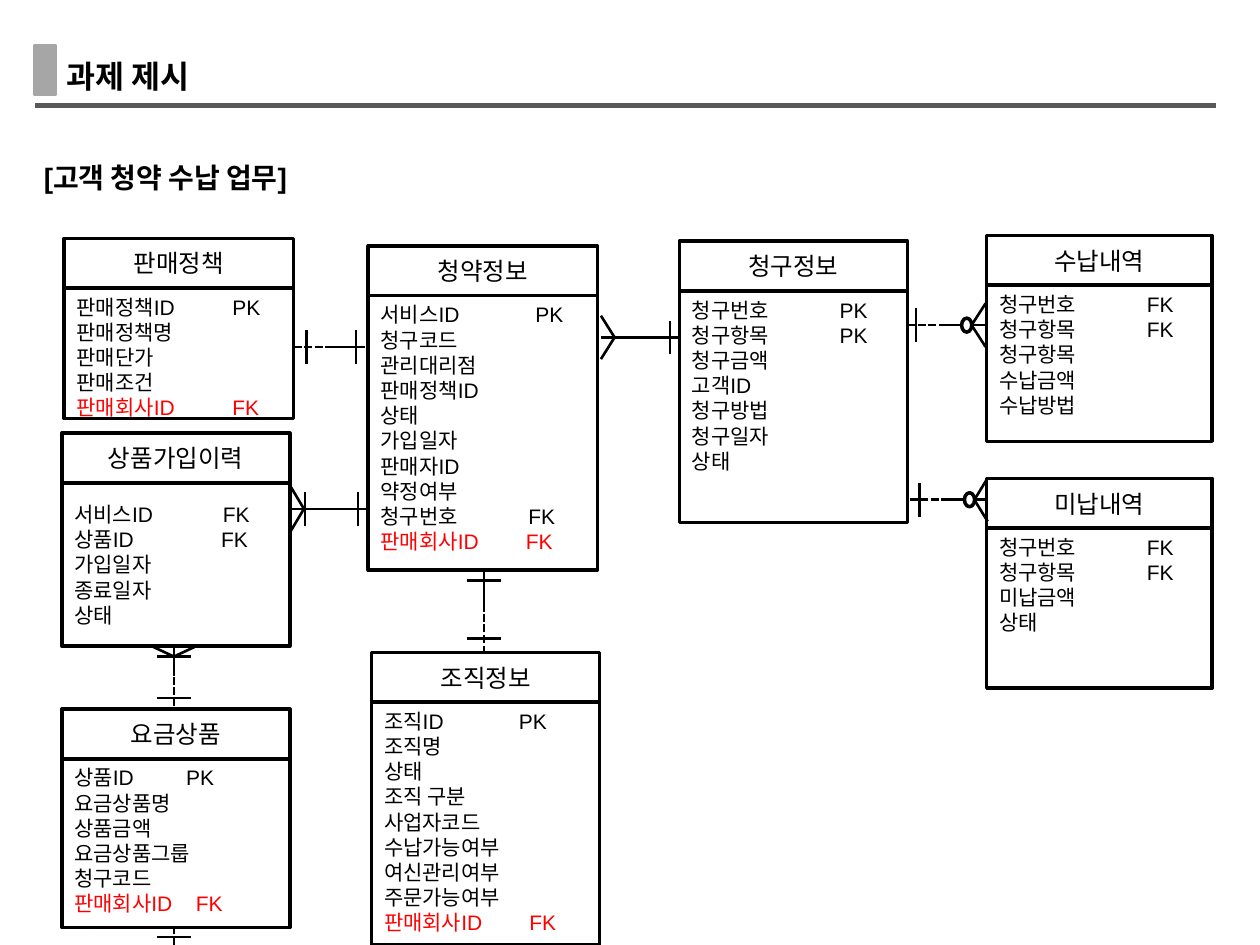
"""Build an entity-relationship slide for customer subscription and payment."""
from lxml.etree import SubElement
from pptx import Presentation
from pptx.dml.color import RGBColor
from pptx.enum.dml import MSO_LINE_DASH_STYLE as Dash
from pptx.enum.shapes import MSO_CONNECTOR as Connector, MSO_SHAPE as Shape
from pptx.enum.text import MSO_ANCHOR as Anchor, PP_ALIGN as Align
from pptx.oxml.ns import qn
from pptx.util import Pt

LATIN, KOREAN = "Arial", "Noto Sans CJK KR"
BLACK, RED, WHITE = "000000", "FF0000", "FFFFFF"
HEADER = 28.4
SELLER = "판매회사ID"

# name, left, top, width, body height, anchor, rows of (field, key, key offset)
ENTITIES = [
    ("조직정보", 212.4, 372.8, 130.3, 139, Anchor.TOP,
     [("조직ID", "PK", 77), "조직명", "상태", "조직 구분", "사업자코드",
      "수납가능여부", "여신관리여부", "주문가능여부", (SELLER, "FK", 83)]),
    ("청약정보", 210.4, 140.6, 131, 156.8, Anchor.TOP,
     [("서비스ID", "PK", 88.5), "청구코드", "관리대리점", "판매정책ID", "상태",
      "가입일자", "판매자ID", "약정여부", ("청구번호", "FK", 84.5), (SELLER, "FK", 83)]),
    ("청구정보", 388.2, 137.8, 130.3, 132.4, Anchor.TOP,
     [("청구번호", "PK", 84.5), ("청구항목", "PK", 84.5), "청구금액", "고객ID",
      "청구방법", "청구일자", "상태"]),
    ("요금상품", 35.3, 405.2, 130.3, 96.4, Anchor.TOP,
     [("상품ID", "PK", 64), "요금상품명", "상품금액", "요금상품그룹", "청구코드",
      (SELLER, "FK", 69.5)]),
    ("수납내역", 563.8, 134.6, 128.9, 89.2, Anchor.TOP,
     [("청구번호", "FK", 84.5), ("청구항목", "FK", 84.5), "청구항목", "수납금액",
      "수납방법"]),
    ("상품가입이력", 35.3, 247.5, 130.3, 93.4, Anchor.MIDDLE,
     [("서비스ID", "FK", 85), ("상품ID", "FK", 84), "가입일자", "종료일자", "상태"]),
    ("판매정책", 36.7, 136.2, 131, 74.6, Anchor.TOP,
     [("판매정책ID", "PK", 89), "판매정책명", "판매단가", "판매조건", (SELLER, "FK", 89)]),
    ("미납내역", 563.8, 273.4, 128.9, 91.4, Anchor.TOP,
     [("청구번호", "FK", 84.5), ("청구항목", "FK", 84.5), "미납금액", "상태"]),
]

# start, end, dashed share, bar distances from start, crow's foot length, circle
RELATIONS = [
    ((518.4, 185.8), (563.2, 185.8), 0.5, [5], 8, True),
    ((99.4, 403.2), (99.4, 369.4), 0.5, [4.3, 28.1], 5.8, False),
    ((167.8, 198.2), (208.8, 198.2), 0.5, [7.2, 35.6], 0, False),
    ((210.2, 290.8), (166.3, 290.8), 0, [5.6, 36], 7.4, False),
    ((276.5, 373.4), (276.5, 325.6), 0.5, [8.6, 41.6], 0, False),
    ((388.1, 192.8), (343.4, 192.8), 0, [5.2], 7.8, False),
    ((519.8, 285.6), (564.4, 285.6), 0.5, [5.6], 7.6, True),
    ((99.4, 540), (99.4, 530), 1, [4.5], 0, False),
]


def color(value):
    return RGBColor.from_string(value)


def style(para, size, ink=BLACK, font=LATIN, bold=False):
    for span in para.runs:
        span.font.name = font
        span.font.size = Pt(size)
        span.font.bold = bold
        span.font.color.rgb = color(ink)
        SubElement(span.font._element, qn("a:ea"), typeface=KOREAN)


def add_text(page, text, left, top, width, height, size, font, wrap):
    box = page.shapes.add_textbox(Pt(left), Pt(top), Pt(width), Pt(height))
    box.text_frame.word_wrap = wrap
    para = box.text_frame.paragraphs[0]
    para.text = text
    style(para, size, font=font, bold=True)
    return para


def add_box(page, kind, left, top, width, height, fill=None, line=BLACK):
    box = page.shapes.add_shape(kind, Pt(left), Pt(top), Pt(width), Pt(height))
    box.shadow.inherit = False
    if fill:
        box.fill.solid()
        box.fill.fore_color.rgb = color(fill)
    else:
        box.fill.background()
    box.line.color.rgb = color(line)
    box.line.width = Pt(2)
    return box


def add_line(page, start, end, width=1.5, ink=BLACK, dashed=False):
    points = [Pt(value) for value in (*start, *end)]
    line = page.shapes.add_connector(Connector.STRAIGHT, *points)
    line.line.color.rgb = color(ink)
    line.line.width = Pt(width)
    if dashed:
        line.line.dash_style = Dash.SQUARE_DOT
    SubElement(line._element.spPr, qn("a:effectLst"))


def add_entity(page, name, left, top, width, height, anchor, rows):
    body = add_box(page, Shape.RECTANGLE, left, top + HEADER, width, height)
    frame = body.text_frame
    frame.word_wrap = True
    frame.vertical_anchor = anchor
    rows = [(row,) if isinstance(row, str) else row for row in rows]
    frame.text = "\n".join("\t".join(row[:2]) for row in rows)
    for para, row in zip(frame.paragraphs, rows):
        para.alignment = Align.LEFT
        style(para, 12, RED if row[0] == SELLER else BLACK)
        if len(row) == 3:
            tabs = SubElement(para._p.get_or_add_pPr(), qn("a:tabLst"))
            SubElement(tabs, qn("a:tab"), pos=str(Pt(row[2])), algn="l")

    header = add_box(page, Shape.RECTANGLE, left, top, width, HEADER)
    header.text_frame.vertical_anchor = Anchor.MIDDLE
    para = header.text_frame.paragraphs[0]
    para.text = name
    para.alignment = Align.CENTER
    style(para, 14, font=KOREAN)


def add_relation(page, start, end, dashed, bars, foot, circle):
    (x1, y1), (x2, y2) = start, end
    length = abs(x2 - x1) + abs(y2 - y1)
    dx, dy = (x2 - x1) / length, (y2 - y1) / length

    def at(along, across=0):
        return x1 + dx * along - dy * across, y1 + dy * along + dx * across

    middle = at(length * dashed)
    if dashed:
        add_line(page, start, middle, dashed=True)
    if dashed < 1:
        add_line(page, middle, end)
    for bar in bars:
        add_line(page, at(bar, -9.6), at(bar, 9.6))
    if foot:
        for side in (-12.4, 12.4):
            add_line(page, at(length, side), at(length - foot))
    if circle:
        x, y = at(length - foot - 2.8)
        add_box(page, Shape.OVAL, x - 2.9, y - 4, 5.8, 8, WHITE)


def main():
    deck = Presentation()
    deck.slide_width, deck.slide_height = Pt(720), Pt(540)
    page = deck.slides.add_slide(deck.slide_layouts[6])
    add_text(page, "과제 제시", 31, 28.8, 93.6, 28.8, 18, KOREAN, False)
    add_line(page, (20.2, 60.5), (694.8, 60.5), 3, "595959")
    add_box(page, Shape.RECTANGLE, 20, 25.9, 11.5, 28.1, "A6A6A6", "A6A6A6")
    subtitle = add_text(page, "[고객 청약 수납 업무]", 18, 78.5, 674.6, 36, 16, LATIN, True)
    subtitle.line_spacing = 1.5
    for entity in ENTITIES:
        add_entity(page, *entity)
    for relation in RELATIONS:
        add_relation(page, *relation)
    deck.save("out.pptx")


if __name__ == "__main__":
    main()
